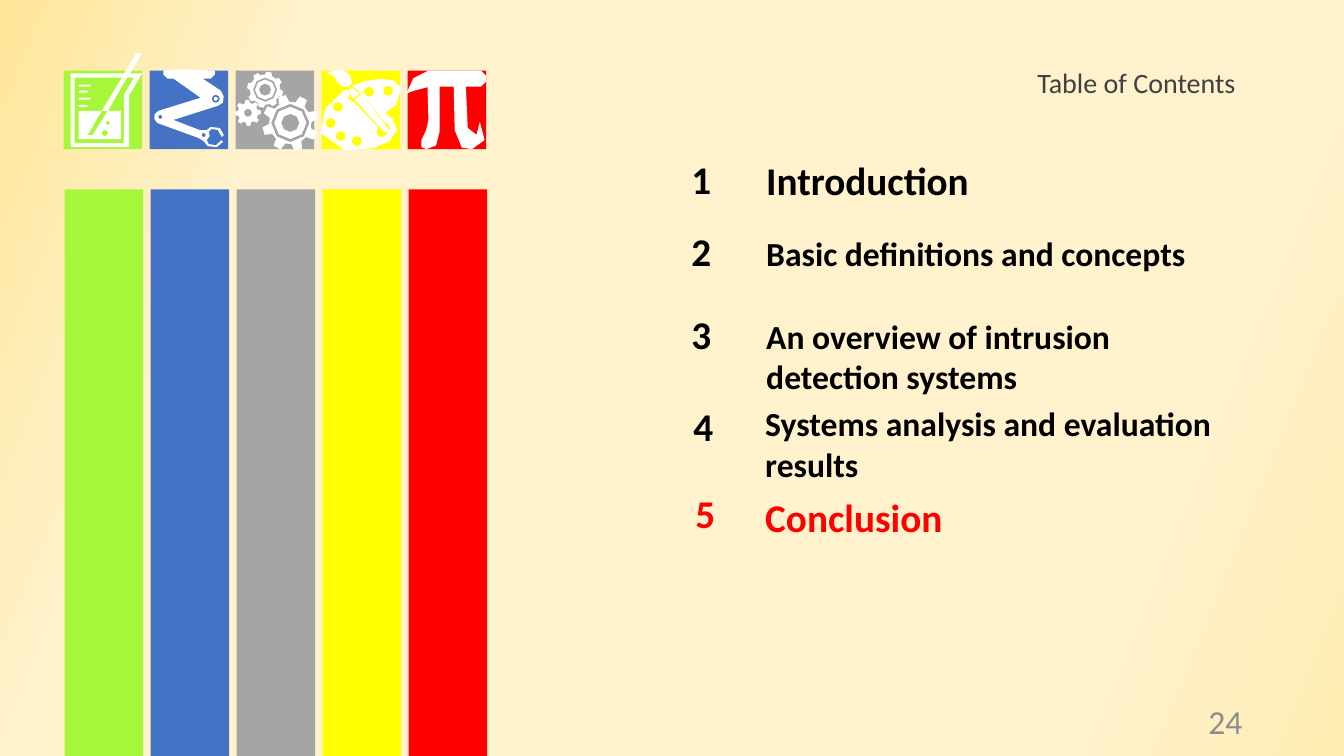
from math import cos, radians, sin

from lxml.etree import SubElement
from pptx import Presentation
from pptx.dml.color import RGBColor
from pptx.enum.shapes import MSO_SHAPE as Shape
from pptx.enum.text import MSO_ANCHOR as Anchor, PP_ALIGN as Align
from pptx.oxml.ns import qn
from pptx.util import Inches, Pt

GREEN = RGBColor(0xA6, 0xF7, 0x39)
BLUE = RGBColor(0x44, 0x72, 0xC4)
GRAY = RGBColor(0xA5, 0xA5, 0xA5)
YELLOW = RGBColor(0xFF, 0xFF, 0x00)
RED = RGBColor(0xFF, 0x00, 0x00)
WHITE = RGBColor(0xFF, 0xFF, 0xFF)
BLACK = RGBColor(0x00, 0x00, 0x00)
DARK_GRAY = RGBColor(0x40, 0x40, 0x40)
PAGE_GRAY = RGBColor(0x8C, 0x8C, 0x8C)

prs = Presentation()
prs.slide_width, prs.slide_height = Inches(13.33), Inches(7.5)
slide = prs.slides.add_slide(prs.slide_layouts[6])


def ring(x, y, radius):
    """Points of a circle around (x, y)."""
    return [(x + radius * cos(radians(a)), y + radius * sin(radians(a)))
            for a in range(0, 360, 45)]


def draw_icon(contours):
    """White outline; two numbers are a corner, six are a Bezier curve."""
    builder = None
    for contour in contours:
        points = []
        for step in contour:
            if len(step) == 2:
                points.append(step)
                continue
            x0, y0 = points[-1]
            x1, y1, x2, y2, x3, y3 = step
            points += [((x0 + 3 * x1 + 3 * x2 + x3) / 8,
                        (y0 + 3 * y1 + 3 * y2 + y3) / 8), (x3, y3)]
        points = [(Inches(x), Inches(y)) for x, y in points]
        if builder is None:
            builder = slide.shapes.build_freeform(*points[0])
        else:
            builder.move_to(*points[0])
        builder.add_line_segments(points[1:], close=True)
    icon = builder.convert_to_shape()
    icon.shadow.inherit = False
    icon.fill.solid()
    icon.fill.fore_color.rgb = WHITE
    icon.line.fill.background()


# Background gradient
background = slide.background.fill
background.gradient()
background.gradient_angle = 338
stops = slide.element.find(".//" + qn("a:gsLst"))
for stop in list(stops):
    stops.remove(stop)
for percent, color in ((0, "FFE699"), (19, "FFF2CC"), (83, "FFF2CC"), (100, "FFECB2")):
    stop = SubElement(stops, qn("a:gs"), pos=str(percent * 1000))
    SubElement(stop, qn("a:srgbClr"), val=color)

# Colour stripes with an icon tile above each
for left, top, height in ((0.64, 1.88, 5.62), (0.63, 0.7, 0.78)):
    for i, color in enumerate((GREEN, BLUE, GRAY, YELLOW, RED)):
        block = slide.shapes.add_shape(Shape.RECTANGLE, Inches(left + i * 0.853),
                                       Inches(top), Inches(0.78), Inches(height))
        block.shadow.inherit = False
        block.fill.solid()
        block.fill.fore_color.rgb = color
        block.line.fill.background()

# Beaker
scale_marks = [[(0.78, y), (x, y), (x, y + 0.02), (0.78, y + 0.02)]
               for y, x in ((0.84, 0.9), (0.9, 0.87), (0.97, 0.9), (1.04, 0.87))]
draw_icon(scale_marks + [
    ring(1.04, 1.32, 0.03), ring(1.07, 1.22, 0.02),
    [(0.78, 1.1), (1.01, 1.1), (0.87, 1.34), (0.92, 1.34), (1.07, 1.1),
     (1.2, 1.1), (1.2, 1.38), (0.78, 1.38)],
    [(1.13, 0.77), (0.74, 0.77), (0.74, 1.42), (1.23, 1.42), (1.23, 0.94),
     (1.33, 0.77), (1.26, 0.77), (1.07, 1.1), (1.01, 1.1), (1.21, 0.77)],
    [(1.35, 0.53), (1.41, 0.53), (1.29, 0.73), (1.41, 0.73), (1.28, 0.95),
     (1.28, 1.46), (0.7, 1.46), (0.7, 0.73), (1.23, 0.73)],
])

# Robot arm
draw_icon([
    ring(2.02, 1.34, 0.02), ring(1.59, 1.16, 0.02),
    ring(2.14, 0.98, 0.02), ring(2.14, 0.98, 0.04),
    [(1.62, 0.7), (1.71, 0.69), (1.88, 0.69), (2.13, 0.7), (2.13, 0.74),
     (2.09, 0.78), (2.01, 0.78), (2.19, 0.9),
     (2.22, 0.93, 2.23, 0.98, 2.21, 1.02), (2.16, 1.05), (1.72, 1.19),
     (1.98, 1.29), (2.05, 1.29), (2.09, 1.26), (2.18, 1.27), (2.22, 1.34),
     (2.2, 1.36), (2.16, 1.29), (2.1, 1.28), (2.07, 1.31), (2.08, 1.35),
     (2.05, 1.39), (2.07, 1.43), (2.14, 1.44), (2.2, 1.39), (2.21, 1.41),
     (2.15, 1.46), (2.06, 1.45), (2.02, 1.4), (1.97, 1.37), (1.56, 1.22),
     (1.53, 1.18), (1.52, 1.15, 1.54, 1.11, 1.57, 1.1),
     (1.99, 0.97), (1.72, 0.78), (1.66, 0.78), (1.62, 0.74)],
])

# Gears: centre, root and tip radius, angle of the first tooth, inner rings
gears = []
for x, y, root, tip, turn, rings in (
        (2.88, 1.22, 0.21, 0.28, 28, (0.19, 0.16, 0.09)),
        (2.63, 0.89, 0.15, 0.18, 13, (0.12, 0.1, 0.06)),
        (2.46, 1.12, 0.1, 0.13, 42, (0.04,))):
    teeth = []
    for tooth in range(8):
        for offset, radius in ((-14, root), (-8, tip), (8, tip), (14, root)):
            angle = radians(turn + tooth * 45 + offset)
            teeth.append((x + radius * cos(angle), y + radius * sin(angle)))
    gears += [teeth] + [ring(x, y, radius) for radius in rings]
draw_icon(gears)

# Palette with brush
paint_wells = [ring(x, y, 0.05) for x, y in (
    (3.54, 1.4), (3.38, 1.35), (3.28, 1.22), (3.35, 1.06), (3.66, 0.91), (3.85, 0.9))]
draw_icon(paint_wells + [
    [(3.59, 0.93), (3.86, 1.29), (3.82, 1.32), (3.52, 0.99)],
    [(3.49, 0.87), (3.57, 0.93), (3.5, 0.98), (3.46, 0.89)],
    [(3.78, 0.78), (3.87, 0.78, 3.95, 0.8, 3.98, 0.87),
     (4.06, 1.05, 3.83, 1.05, 3.82, 1.12), (3.8, 1.2, 4.0, 1.14, 3.94, 1.29),
     (3.9, 1.4, 3.84, 1.43, 3.7, 1.47), (3.57, 1.52, 3.26, 1.52, 3.18, 1.32),
     (3.12, 1.15, 3.29, 0.98, 3.42, 0.89), (3.45, 0.89), (3.47, 0.93),
     (3.45, 0.98), (3.52, 1.02), (3.75, 1.26), (3.73, 1.29, 3.73, 1.33, 3.75, 1.35),
     (3.77, 1.37, 3.82, 1.36, 3.84, 1.33), (3.87, 1.3, 3.88, 1.25, 3.85, 1.23),
     (3.82, 1.22), (3.61, 0.95), (3.49, 0.85), (3.57, 0.82, 3.68, 0.78, 3.78, 0.78)],
    [(3.37, 0.69), (3.41, 0.7), (3.46, 0.72, 3.49, 0.76, 3.49, 0.8),
     (3.49, 0.84, 3.48, 0.86, 3.45, 0.86), (3.42, 0.87, 3.38, 0.86, 3.35, 0.82),
     (3.33, 0.76, 3.33, 0.76, 3.24, 0.72)],
])

# Pi: bar, left leg, right leg
for stroke in (
        [(4.82, 0.75), (4.82, 0.81), (4.77, 0.86), (4.26, 0.86),
         (4.14, 0.85, 4.03, 0.96, 4.03, 0.93), (4.05, 0.83, 4.12, 0.7, 4.25, 0.7),
         (4.77, 0.7)],
        [(4.23, 1.48), (4.18, 1.48, 4.16, 1.45, 4.18, 1.39),
         (4.21, 1.3, 4.25, 1.29, 4.25, 1.19), (4.24, 0.84),
         (4.36, 0.84), (4.36, 1.31), (4.36, 1.44, 4.31, 1.48, 4.23, 1.48)],
        [(4.68, 1.48), (4.62, 1.48, 4.53, 1.5, 4.51, 1.29), (4.5, 0.84), (4.62, 0.84),
         (4.64, 1.27), (4.66, 1.4, 4.81, 1.34, 4.76, 1.21),
         (4.87, 1.32, 4.8, 1.49, 4.68, 1.48)]):
    draw_icon([stroke])

# Heading, page number and numbered contents
labels = [
    ("Table of Contents", 10.19, 0.6, 2.44, 0.44, 20, DARK_GRAY, Align.LEFT),
    ("24", 9.42, 6.95, 3, 0.4, 24, PAGE_GRAY, Align.RIGHT),
]
for number, (chapter, number_left, number_top, left, top, width, height, size, color) in enumerate((
        ("Introduction", 6.43, 1.49, 7.48, 1.5, 4.93, 0.57, 28, BLACK),
        ("Basic definitions and concepts", 6.43, 2.21, 7.48, 2.26, 4.93, 0.5, 24, BLACK),
        ("An overview of intrusion detection systems",
         6.43, 3.03, 7.48, 3.08, 4.93, 0.91, 24, BLACK),
        ("Systems analysis and evaluation results",
         6.45, 3.94, 7.47, 3.95, 5.16, 0.91, 24, BLACK),
        ("Conclusion", 6.47, 4.81, 7.47, 4.84, 4.93, 0.57, 28, RED)), start=1):
    labels += [(str(number), number_left, number_top, 1.05, 0.57, 28, color, Align.CENTER),
               (chapter, left, top, width, height, size, color, Align.LEFT)]

for i, (text, left, top, width, height, size, color, align) in enumerate(labels):
    in_contents = i > 1
    frame = slide.shapes.add_textbox(Inches(left), Inches(top),
                                     Inches(width), Inches(height)).text_frame
    frame.word_wrap = True
    frame.margin_left = frame.margin_right = Inches(0.12 if in_contents else 0.1)
    frame.vertical_anchor = Anchor.TOP if in_contents else Anchor.MIDDLE
    line = frame.paragraphs[0]
    line.text = text
    line.alignment = align
    line.font.name = "Calibri"
    line.font.size = Pt(size)
    line.font.bold = in_contents
    line.font.color.rgb = color

prs.save("out.pptx")
